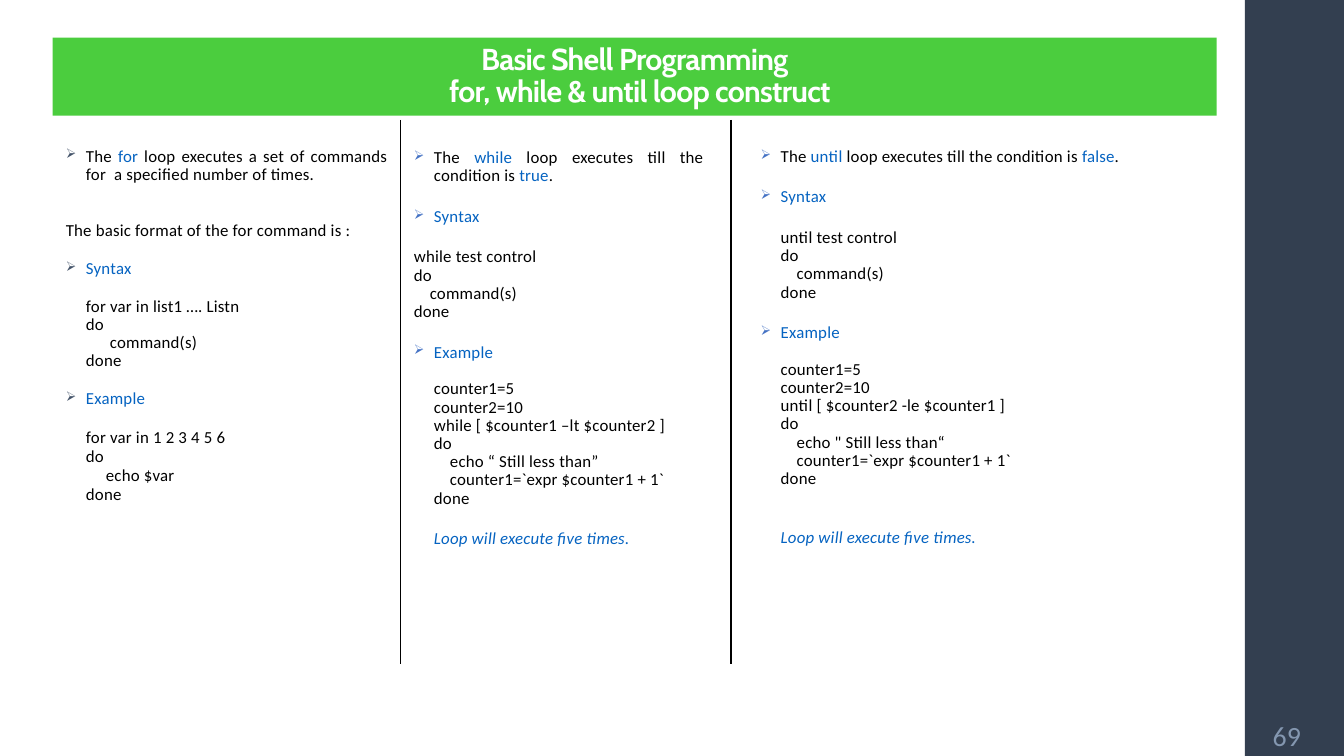
from lxml.etree import SubElement
from pptx import Presentation
from pptx.dml.color import RGBColor
from pptx.enum.shapes import MSO_CONNECTOR, MSO_SHAPE
from pptx.enum.text import MSO_ANCHOR, PP_ALIGN
from pptx.oxml.ns import qn
from pptx.util import Pt

GREEN = RGBColor(0x4B, 0xCD, 0x3E)
NAVY = RGBColor(0x33, 0x3F, 0x50)
GREY = RGBColor(0x84, 0x97, 0xB0)
SLATE = RGBColor(0x44, 0x54, 0x6A)
AZURE = RGBColor(0x44, 0x72, 0xC4)
BLUE = RGBColor(0x05, 0x63, 0xC1)
BLACK = RGBColor(0, 0, 0)
WHITE = RGBColor(255, 255, 255)

HEAD = {"name": "Cabin", "size": Pt(16.2), "bold": True}
BODY = {"name": "Calibri", "size": Pt(9)}
NOTE = {**BODY, "italic": True}
PAGE = {"name": "Calibri", "size": Pt(14.9)}

INDENT = 10.8
LINE = 9.9  # height of one body line

# Each row: kind, text with *blue* parts, space before
FOR = [
    ("lead", "The *for* loop executes a set of commands for  a specified number of times.", 0),
    ("plain", "The basic format of the for command is :", 10.5 + LINE),
    ("point", "*Syntax*", 10.5),
    ("code", "for var in list1 …. Listn\ndo\n      command(s)\ndone", 10.5),
    ("point", "*Example*", 10.5),
    ("loose", "for var in 1 2 3 4 5 6\ndo\n     echo $var\ndone", 10.5),
]
WHILE = [
    ("lead", "The *while* loop executes till the condition is *true*.", 0),
    ("point", "*Syntax*", 12),
    ("plain", "while test control\ndo\n    command(s)\ndone", 12),
    ("point", "*Example*", 12),
    ("code", "counter1=5\ncounter2=10\nwhile [ $counter1 –lt $counter2 ]\ndo\n"
             "    echo “ Still less than”\n    counter1=`expr $counter1 + 1`\ndone", LINE),
    ("note", "*Loop will execute five times.*", 12),
]
UNTIL = [
    ("lead", "The *until* loop executes till the condition is *false*.", 0),
    ("point", "*Syntax*", 12),
    ("code", "until test control\ndo\n    command(s)\ndone", 12),
    ("point", "*Example*", 12),
    ("code", "counter1=5\ncounter2=10\nuntil [ $counter2 -le $counter1 ]\ndo\n"
             "    echo \" Still less than“\n    counter1=`expr $counter1 + 1`\ndone", LINE),
    ("note", "*Loop will execute five times.*", 12 + LINE),
]


def assign(item, values):
    for name, value in values.items():
        setattr(item, name, value)


def add_run(para, text, look, color, track=0):
    run = para.add_run()
    run.text = text
    assign(run.font, look)
    run.font.color.rgb = color
    if track:
        run.font._element.set("spc", str(track))


def add_bullet(para, color):
    props = para._p.get_or_add_pPr()
    tint = SubElement(props, qn("a:buClr"))
    SubElement(tint, qn("a:srgbClr")).set("val", str(color))
    SubElement(props, qn("a:buSzPct")).set("val", "80000")
    SubElement(props, qn("a:buChar")).set("char", "➢")


def set_indent(para, left, first=0):
    props = para._p.get_or_add_pPr()
    props.set("marL", str(Pt(left)))
    props.set("indent", str(Pt(first)))


def add_bar(slide, box, color):
    bar = slide.shapes.add_shape(MSO_SHAPE.RECTANGLE, *map(Pt, box))
    bar.shadow.inherit = False
    bar.fill.solid()
    bar.fill.fore_color.rgb = color
    bar.line.fill.background()
    return bar


def add_title(slide, box, lines):
    frame = add_bar(slide, box, GREEN).text_frame
    assign(frame, {"word_wrap": True, "vertical_anchor": MSO_ANCHOR.BOTTOM})
    for i, text in enumerate(lines):
        para = frame.add_paragraph() if i else frame.paragraphs[0]
        assign(para, {"alignment": PP_ALIGN.CENTER, "line_spacing": 0.9})
        set_indent(para, 5.4 * i)
        add_run(para, text, HEAD, WHITE, -40)


def add_column(slide, box, rows, tint):
    frame = slide.shapes.add_textbox(*map(Pt, box)).text_frame
    frame.word_wrap = True
    for i, (kind, text, gap) in enumerate(rows):
        para = frame.add_paragraph() if i else frame.paragraphs[0]
        bullet = kind in ("lead", "point")
        set_indent(para, 0 if kind == "plain" else INDENT, -INDENT if bullet else 0)
        if bullet:
            add_bullet(para, tint)
        assign(para, {
            "alignment": PP_ALIGN.JUSTIFY if kind == "lead" else PP_ALIGN.LEFT,
            "line_spacing": 0.95 if kind == "loose" else 0.9,
            "space_before": Pt(gap),
        })
        look = NOTE if kind == "note" else BODY
        for j, line in enumerate(text.split("\n")):
            if j:
                para.add_line_break()
            for k, part in enumerate(line.split("*")):
                if part:
                    add_run(para, part, look, BLUE if k % 2 else BLACK, 10)


def add_rule(slide, x, top, end):
    rule = slide.shapes.add_connector(MSO_CONNECTOR.STRAIGHT, Pt(x), Pt(top), Pt(x), Pt(end))
    rule.line.width = Pt(0.75)
    rule.line.color.rgb = BLACK
    SubElement(rule._element.spPr, qn("a:effectLst"))


def add_page(slide, box, text):
    frame = slide.shapes.add_textbox(*map(Pt, box)).text_frame
    sides = ("left", "right", "top", "bottom")
    assign(frame, {f"margin_{side}": Pt(3.6) for side in sides})
    assign(frame, {"word_wrap": True, "vertical_anchor": MSO_ANCHOR.MIDDLE})
    para = frame.paragraphs[0]
    para.alignment = PP_ALIGN.CENTER
    add_run(para, text, PAGE, GREY)


def main():
    deck = Presentation()
    assign(deck, {"slide_width": Pt(720), "slide_height": Pt(405)})
    slide = deck.slides.add_slide(deck.slide_layouts[6])

    # Side band, title and page number
    add_bar(slide, (667, 0, 53, 405), NAVY)
    add_title(slide, (28.2, 20.2, 623.6, 41.8),
              ["Basic Shell Programming", "for, while & until loop construct"])
    add_page(slide, (671, 382.3, 36.7, 23), "69")

    # Three loop columns
    add_column(slide, (28.2, 75.6, 186.4, 206.6), FOR, SLATE)
    add_column(slide, (214.6, 76.3, 169.2, 260.6), WHILE, AZURE)
    add_column(slide, (400.4, 75.6, 227.5, 260.6), UNTIL, AZURE)

    # Column rules
    for x in (214.6, 391.7):
        add_rule(slide, x, 64.2, 355.6)

    deck.save("out.pptx")


if __name__ == "__main__":
    main()
